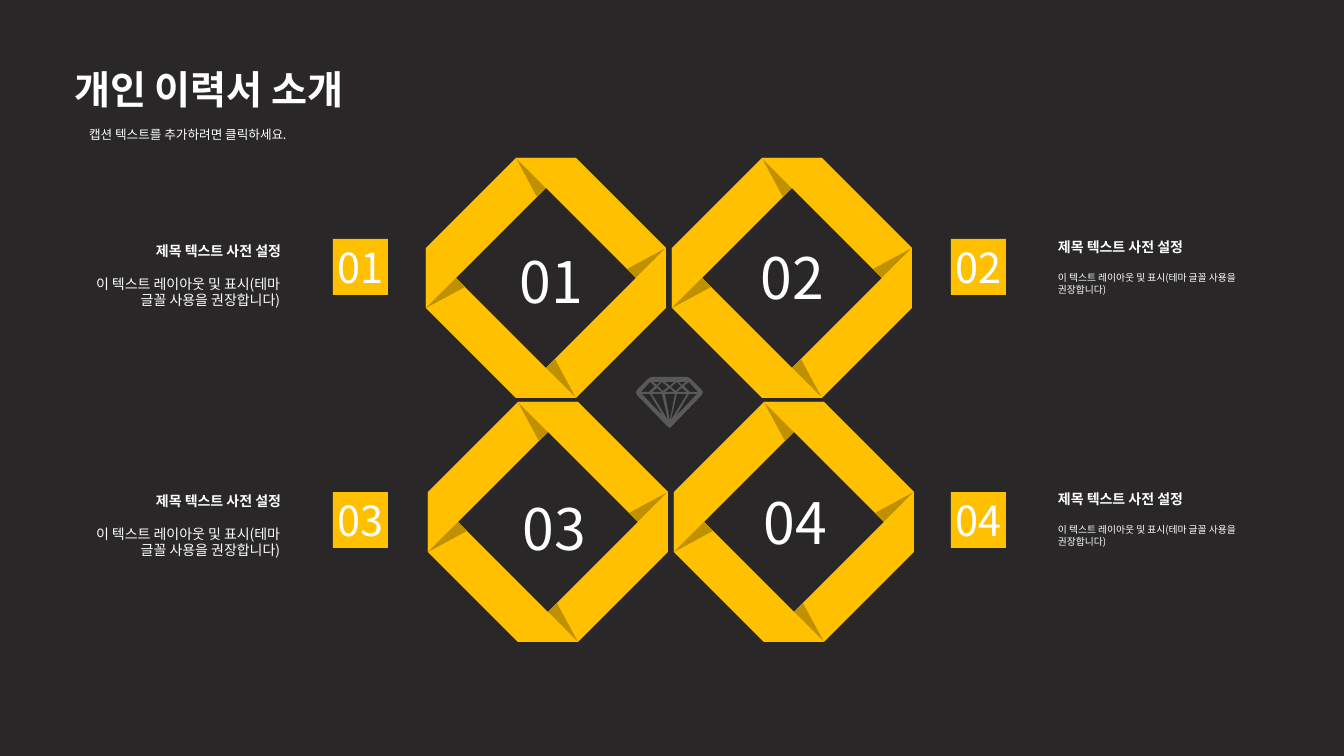
from dataclasses import dataclass

from lxml import etree
from pptx import Presentation
from pptx.dml.color import RGBColor
from pptx.enum.shapes import MSO_SHAPE
from pptx.enum.text import MSO_ANCHOR, MSO_AUTO_SIZE, PP_ALIGN
from pptx.oxml.ns import qn
from pptx.util import Pt

RECTANGLE = MSO_SHAPE.RECTANGLE
TOP, MIDDLE = MSO_ANCHOR.TOP, MSO_ANCHOR.MIDDLE
LEFT, CENTER, RIGHT = PP_ALIGN.LEFT, PP_ALIGN.CENTER, PP_ALIGN.RIGHT
NO_AUTOFIT = MSO_AUTO_SIZE.NONE
PX = 9071


@dataclass(frozen=True)
class Theme:
    font: str = "Noto Sans CJK KR"
    background: RGBColor = RGBColor(0x29, 0x27, 0x27)
    text: RGBColor = RGBColor(0xFF, 0xFF, 0xFF)
    band: RGBColor = RGBColor(0xFF, 0xC0, 0x00)
    fold: RGBColor = RGBColor(0xBF, 0x90, 0x00)
    diamond: RGBColor = RGBColor(0x59, 0x59, 0x59)
    title_size: float = 28
    caption_size: float = 9
    ring_size: float = 40.8
    badge_size: float = 29.6
    heading_size: float = 10


theme = Theme()


def write(frame, text, size, align=LEFT, bold=False, wrap=True, anchor=TOP,
          insets=(10, 5, 10, 5)):
    frame.auto_size = NO_AUTOFIT
    frame.word_wrap = wrap
    frame.vertical_anchor = anchor
    (frame.margin_left, frame.margin_top,
     frame.margin_right, frame.margin_bottom) = [PX * inset for inset in insets]
    paragraph = frame.paragraphs[0]
    paragraph.text = text
    paragraph.alignment = align
    paragraph.space_before = Pt(0)
    font = paragraph.font
    font.name = theme.font
    font.size = Pt(size)
    font.bold = bold
    font.color.rgb = theme.text
    latin = next(paragraph._p.iter(qn("a:latin")))
    east_asian = etree.Element(qn("a:ea"), typeface=theme.font)
    latin.addnext(east_asian)
    return paragraph


def draw_outline(contours, left, top, color):
    placed = [[(left + x, top + y) for x, y in contour] for contour in contours]
    builder = slide.shapes.build_freeform(*placed[0][0], scale=PX)
    builder.add_line_segments(placed[0][1:], close=True)
    for contour in placed[1:]:
        builder.move_to(*contour[0])
        builder.add_line_segments(contour[1:], close=True)
    outline = builder.convert_to_shape()
    outline.shadow.inherit = False
    outline.fill.solid()
    outline.fill.fore_color.rgb = color
    outline.line.fill.background()


prs = Presentation()
prs.slide_width = PX * 1344
prs.slide_height = PX * 756
slide = prs.slides.add_slide(prs.slide_layouts[1])
slide.background.fill.solid()
slide.background.fill.fore_color.rgb = theme.background

title, caption = slide.placeholders
title.left, title.top, title.width, title.height = PX * 74, PX * 65, PX * 309, PX * 47
write(title.text_frame, "개인 이력서 소개", theme.title_size, bold=True, insets=(0, 0, 0, 0))
caption.left, caption.top, caption.width, caption.height = PX * 89, PX * 127, PX * 242, PX * 15
caption_line = write(caption.text_frame, "캡션 텍스트를 추가하려면 클릭하세요.",
                     theme.caption_size, insets=(0, 0, 0, 0))
caption_format = caption_line._p.get_or_add_pPr()
caption_format.set("marL", "0")
caption_format.set("indent", "0")
caption_line._p.find(".//" + qn("a:defRPr")).addprevious(etree.Element(qn("a:buNone")))

RING = 240
BAND = [(90, 0), (0, 90), (0, 150), (150, 0)]
FOLD = [(90, 0), (120, 30), (111, 39)]
rings = [
    ("01", 426, 158, 510, 241),
    ("02", 672, 158, 751, 237),
    ("03", 428, 402, 513, 488),
    ("04", 674, 402, 754, 482),
]
for number, left, top, number_left, number_top in rings:
    band, fold = BAND, FOLD
    for quarter in range(4):
        draw_outline([band], left, top, theme.band)
        draw_outline([fold], left, top, theme.fold)
        band = [(RING - y, x) for x, y in band]
        fold = [(RING - y, x) for x, y in fold]
    ring_number = slide.shapes.add_textbox(PX * number_left, PX * number_top, PX * 72, PX * 72)
    write(ring_number.text_frame, number, theme.ring_size, wrap=False)

DIAMOND = 67
left_edge = [(34, 51), (31, 49), (1, 18), (0, 15), (2, 12), (12, 2), (15, 0)]
right_edge = [(DIAMOND - x, y) for x, y in reversed(left_edge[1:])]
left_facets = [
    [(14, 5), (19, 9), (13, 15), (5, 15)],
    [(27, 39), (6, 17), (14, 17)],
    [(26, 17), (32, 43), (16, 17)],
    [(21, 11), (26, 15), (16, 15)],
    [(21, 8), (17, 5), (24, 5)],
    [(27, 14), (22, 9), (26, 5), (32, 10)],
]
right_facets = [[(DIAMOND - x, y) for x, y in facet] for facet in left_facets]
middle_facets = [
    [(34, 9), (29, 5), (38, 5)],
    [(39, 17), (34, 43), (29, 17)],
    [(38, 15), (29, 15), (34, 11)],
]
draw_outline([left_edge + right_edge] + left_facets + right_facets + middle_facets,
             636, 377, theme.diamond)

HEADING = "제목 텍스트 사전 설정"
DETAIL = "이 텍스트 레이아웃 및 표시(테마 글꼴 사용을 권장합니다)"
LEFT_INSETS, RIGHT_INSETS = (10, 5, 52, 5), (52, 5, 10, 5)
sides = [
    (333, 164, 237, 62, 270, 270, 61, 250, 10, RIGHT, LEFT_INSETS),
    (951, 1006, 233, 1006, 267, 263, 58, 252, 7, LEFT, RIGHT_INSETS),
]
for row in range(2):
    for column, side in enumerate(sides):
        (badge_left, heading_left, heading_top, detail_left, detail_top, detail_width,
         detail_height, row_step, detail_size, align, insets) = side
        badge = slide.shapes.add_shape(RECTANGLE, PX * badge_left, PX * (239 + 253 * row),
                                       PX * 55, PX * 56)
        badge.shadow.inherit = False
        badge.fill.solid()
        badge.fill.fore_color.rgb = theme.band
        badge.line.fill.background()
        write(badge.text_frame, f"0{row * 2 + column + 1}", theme.badge_size, CENTER,
              wrap=False, anchor=MIDDLE, insets=(13, 7, 13, 7))
        drop = row_step * row
        detail = slide.shapes.add_textbox(PX * detail_left, PX * (detail_top + drop),
                                          PX * detail_width, PX * detail_height)
        write(detail.text_frame, DETAIL, detail_size, align, insets=insets)
        heading = slide.shapes.add_textbox(PX * heading_left, PX * (heading_top + drop),
                                           PX * 169, PX * 34)
        write(heading.text_frame, HEADING, theme.heading_size, align, bold=True,
              wrap=False, insets=insets)

prs.save("out.pptx")
